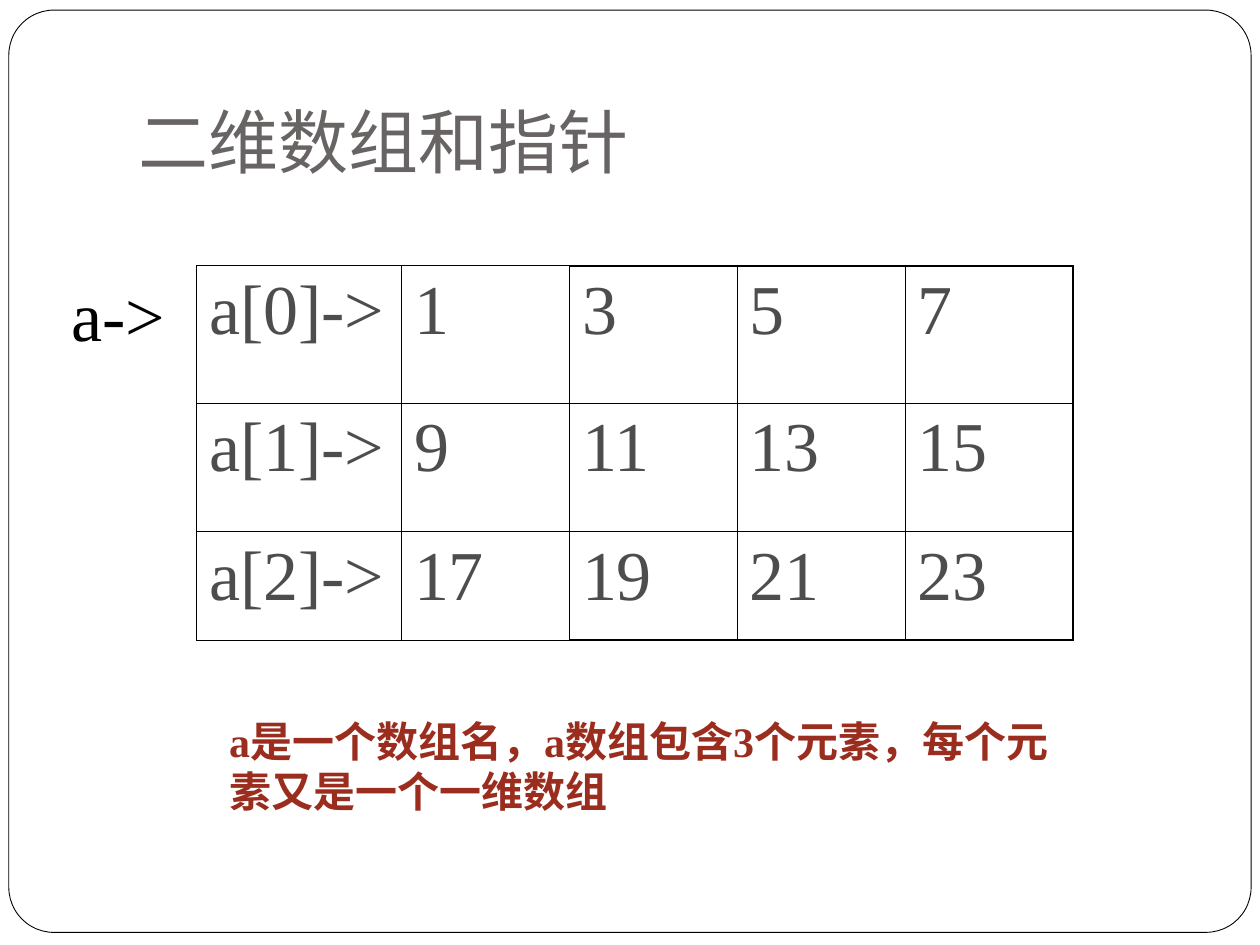
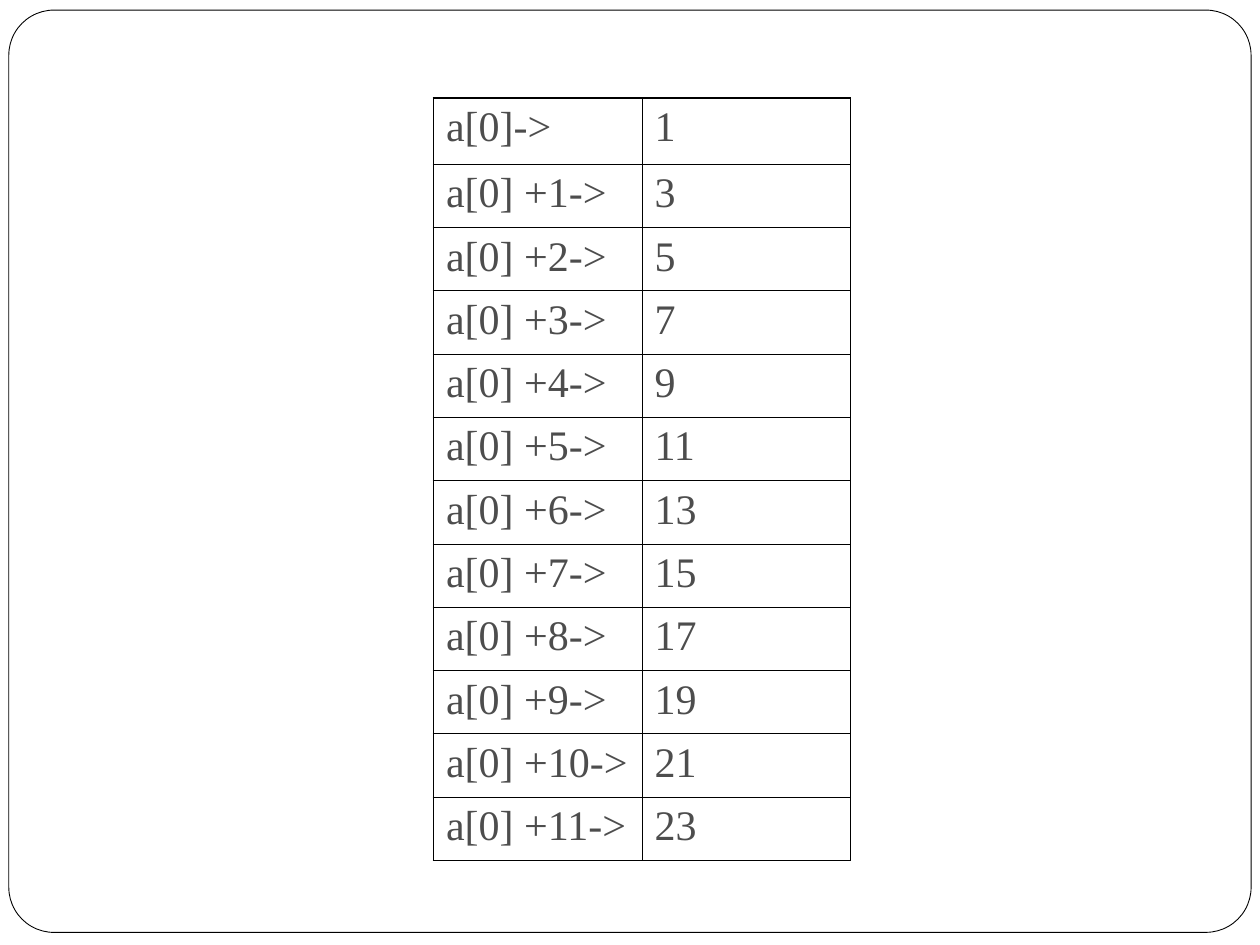
from dataclasses import dataclass

from lxml import etree
from pptx import Presentation
from pptx.dml.color import RGBColor
from pptx.enum.lang import MSO_LANGUAGE_ID
from pptx.enum.shapes import MSO_SHAPE
from pptx.enum.text import MSO_ANCHOR, MSO_AUTO_SIZE, PP_ALIGN
from pptx.oxml.ns import qn
from pptx.util import Inches, Pt

ROUNDED = MSO_SHAPE.ROUNDED_RECTANGLE
LEFT, TOP, BOTTOM = PP_ALIGN.LEFT, MSO_ANCHOR.TOP, MSO_ANCHOR.BOTTOM
FIXED, GROW = MSO_AUTO_SIZE.NONE, MSO_AUTO_SIZE.SHAPE_TO_FIT_TEXT
CHINESE = MSO_LANGUAGE_ID.SIMPLIFIED_CHINESE
TITLE_ONLY, BLANK = 5, 6
GRID_COLUMNS, GRID_ROWS = 100, 75
WIDTH, HEIGHT = Inches(10), Inches(7.5)


@dataclass(frozen=True)
class Theme:
    white: str = "FFFFFF"
    black: str = "000000"
    title: str = "696464"
    cell: str = "4D4D4D"
    accent: str = "9B2D1F"
    title_font: str = "Roboto"
    body_font: str = "Times New Roman"
    large: int = 40
    small: int = 24
    frame_line: float = 0.51
    thin_line: float = 0.45
    thick_line: float = 1.08


THEME = Theme()


def place(box):
    left, top, width, height = box
    column, row = WIDTH / GRID_COLUMNS, HEIGHT / GRID_ROWS
    return [round(length) for length in (left * column, top * row, width * column, height * row)]


def apply(target, formats):
    for name, value in formats.items():
        setattr(target, name, value)


def write(frame, text, size, color, font_name=THEME.body_font, bold=False, space_before=0):
    apply(frame, {"margin_left": Inches(0.1), "margin_right": Inches(0.1),
                  "margin_top": Inches(0.05), "margin_bottom": Inches(0.05),
                  "word_wrap": True})
    paragraph = frame.paragraphs[0]
    apply(paragraph, {"alignment": LEFT, "space_before": Pt(space_before)})
    run = paragraph.add_run()
    run.text = text
    apply(run.font, {"name": font_name, "size": Pt(size), "bold": bold, "language_id": CHINESE})
    run.font.color.rgb = RGBColor.from_string(color)


def add_master_frame(presentation, slide, box):
    shape = slide.shapes.add_shape(ROUNDED, *place(box))
    shape.shadow.inherit = False
    shape.adjustments[0] = 0.049
    shape.fill.solid()
    shape.fill.fore_color.rgb = RGBColor.from_string(THEME.white)
    shape.line.color.rgb = RGBColor.from_string(THEME.black)
    shape.line.width = Pt(THEME.frame_line)
    shape.element.nvSpPr.cNvPr.set("id", "100")
    presentation.slide_master.shapes.element.insert(2, shape.element)


def add_title(slide, text, box):
    title = slide.shapes.title
    apply(title, dict(zip(("left", "top", "width", "height"), place(box))))
    write(title.text_frame, text, THEME.large, THEME.title, THEME.title_font)
    apply(title.text_frame, {"vertical_anchor": BOTTOM, "auto_size": FIXED,
                             "margin_bottom": Inches(0.1)})


def add_text(slide, text, box, size, color, bold=False):
    frame = slide.shapes.add_textbox(*place(box)).text_frame
    write(frame, text, size, color, bold=bold)
    apply(frame, {"vertical_anchor": TOP, "auto_size": GROW})


def set_borders(cell, thick_sides):
    properties = cell._tc.get_or_add_tcPr()
    for side in "LRTB":
        width = THEME.thick_line if side in thick_sides else THEME.thin_line
        line = etree.SubElement(properties, qn(f"a:ln{side}"), w=str(Pt(width)))
        fill = etree.SubElement(line, qn("a:solidFill"))
        etree.SubElement(fill, qn("a:srgbClr"), val=THEME.black)


def add_array_table(slide, values, box, column_shares, row_shares, size, space_before, thick_from):
    left, top, width, height = place(box)
    last_row, last_column = len(values) - 1, len(values[0]) - 1
    table = slide.shapes.add_table(last_row + 1, last_column + 1, left, top, width, height).table
    apply(table, {"first_row": False, "horz_banding": False})
    for column, share in zip(table.columns, column_shares):
        column.width = round(width * share / sum(column_shares))
    for row, share in zip(table.rows, row_shares):
        row.height = round(height * share / sum(row_shares))
    for row_index, row_values in enumerate(values):
        for column_index, value in enumerate(row_values):
            cell = table.cell(row_index, column_index)
            outer = column_index >= thick_from
            edges = {"L": outer and column_index == 0, "R": column_index == last_column,
                     "T": outer and row_index == 0, "B": outer and row_index == last_row}
            set_borders(cell, [side for side, thick in edges.items() if thick])
            cell.fill.background()
            write(cell.text_frame, str(value), size, THEME.cell, space_before=space_before)


def build_matrix_slide(slide, numbers):
    add_title(slide, "二维数组和指针", (10, 3, 85, 12.5))
    rows = [[f"a[{index}]->", *numbers[index * 4:index * 4 + 4]] for index in range(3)]
    add_array_table(slide, rows, (15.6, 21.1, 69.6, 29.7), [1.22, 1, 1, 1, 1],
                    [1.09, 1.02, 0.86], THEME.large, 10, thick_from=2)
    add_text(slide, "a->", (4.7, 21.1, 13.8, 7.7), THEME.large, THEME.black)
    add_text(slide, "a是一个数组名，a数组包含3个元素，每个元素又是一个一维数组",
             (17.2, 56.3, 67.2, 9), THEME.small, THEME.accent, bold=True)


def build_offset_slide(slide, numbers):
    rows = [[f"a[0] +{offset}->" if offset else "a[0]->", number]
            for offset, number in enumerate(numbers)]
    add_array_table(slide, rows, (34.4, 7.8, 33.1, 60.5), [1, 1],
                    [1.04] + [1] * (len(rows) - 1), THEME.small, 6, thick_from=0)


presentation = Presentation()
apply(presentation, {"slide_width": WIDTH, "slide_height": HEIGHT})
numbers = list(range(1, 24, 2))
matrix_slide, offset_slide = (
    presentation.slides.add_slide(presentation.slide_layouts[layout])
    for layout in (TITLE_ONLY, BLANK))
add_master_frame(presentation, matrix_slide, (0.7, 0.8, 98.6, 73.2))
build_matrix_slide(matrix_slide, numbers)
build_offset_slide(offset_slide, numbers)
presentation.save("out.pptx")
